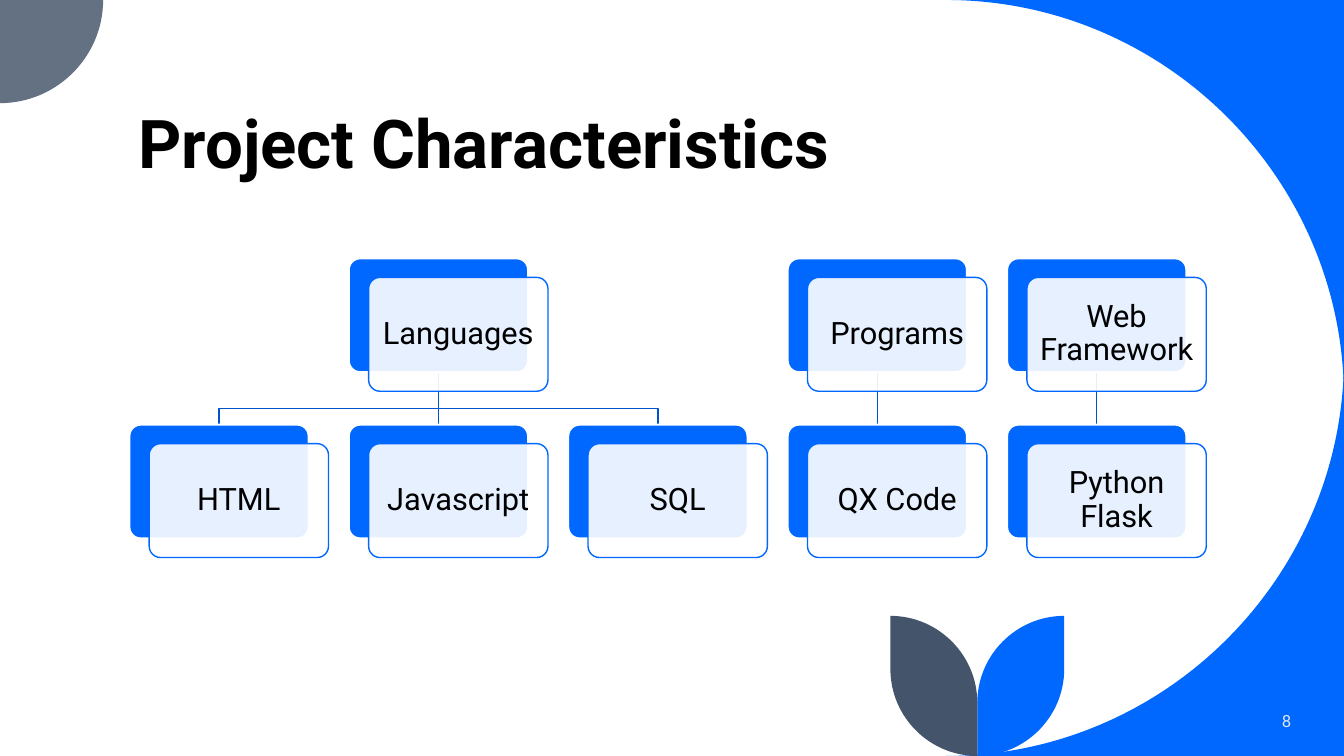
import lxml.etree
import pptx
import pptx.dml.color
import pptx.enum.shapes
import pptx.enum.text
import pptx.oxml.ns
import pptx.util

Cm = pptx.util.Cm
Pt = pptx.util.Pt
qn = pptx.oxml.ns.qn
Shapes = pptx.enum.shapes.MSO_SHAPE
Anchor = pptx.enum.text.MSO_ANCHOR
Align = pptx.enum.text.PP_ALIGN


class Theme:
    font = "Roboto"
    blue, line, white, black = "0068FF", "0053CC", "FFFFFF", "000000"
    grey, slate, pale = "637183", "44546A", "DAE5EF"
    title_size, card_size, number_size = 48, 22, 12


WIDTH, HEIGHT = 33.87, 19.05

# Each branch: parent column, parent label, {child column: child label}
BRANCHES = [
    (1, "Languages", {0: "HTML", 1: "Javascript", 2: "SQL"}),
    (3, "Programs", {3: "QX Code"}),
    (4, "Web Framework", {4: "Python Flask"}),
]


def color(value):
    return pptx.dml.color.RGBColor.from_string(value)


def apply(target, values):
    for name, value in values.items():
        setattr(target, name, value)


def paint(shape, fill, line=None, weight=1.0):
    shape.shadow.inherit = False
    if fill:
        shape.fill.solid()
        shape.fill.fore_color.rgb = color(fill)
    else:
        shape.fill.background()
    if line:
        shape.line.color.rgb = color(line)
        shape.line.width = Pt(weight)
    else:
        shape.line.fill.background()


def write(shape, text, size, ink, bold=False, para_format=None, frame_format=None):
    frame = shape.text_frame
    apply(frame, {"word_wrap": True, **(frame_format or {})})
    para = frame.paragraphs[0]
    apply(para, para_format or {})
    span = para.add_run()
    span.text = text
    apply(span.font, {"name": Theme.font, "size": Pt(size), "bold": bold})
    span.font.color.rgb = color(ink)


def quarter(start, corner, end):
    """Bezier points of the quarter circle that bulges towards the corner."""
    pull = 0.55
    controls = [tuple(a + pull * (b - a) for a, b in zip(point, corner))
                for point in (start, end)]
    return [*controls, end]


def add_freeform(page, points, closed):
    points = [(Cm(x), Cm(y)) for x, y in points]
    builder = page.shapes.build_freeform(*points[0], scale=1.0)
    builder.add_line_segments(points[1:], close=closed)
    return builder.convert_to_shape()


def add_outline(page, start, parts, fill):
    """Closed outline: a part of one point is a line, of three points a curve."""
    shape = add_freeform(page, [start] + [p for part in parts for p in part], True)
    paint(shape, fill)
    lines = iter(list(shape._element.iter(qn("a:lnTo"))))
    for part in parts:
        steps = [next(lines) for _ in part]
        if len(steps) == 3:
            curve = lxml.etree.Element(qn("a:cubicBezTo"))
            steps[0].addprevious(curve)
            for step in steps:
                curve.append(step[0])
                step.getparent().remove(step)


def add_corners(page, width, height):
    # Blue corners on the right, grey quarter disc at the top left
    radius = 10.03
    left = width - radius
    for edge, inner in ((0, radius), (height, height - radius)):
        corner = (width, edge)
        add_outline(page, (left, edge),
                    [quarter((left, edge), corner, (width, inner)), [corner]],
                    Theme.blue)
    disc = 2.6
    add_outline(page, (0, 0),
                [[(disc, 0)], quarter((disc, 0), (disc, disc), (0, disc))], Theme.grey)


def add_leaves(page, stem_x, top, width, height):
    # Two mirrored leaves that meet at the stem
    bottom = top + height
    for side, fill in ((1, Theme.blue), (-1, Theme.slate)):
        outer = stem_x + side * width
        lower, upper = (outer, bottom - width), (stem_x, top + width)
        add_outline(page, (outer, top), [
            [lower],
            quarter(lower, (outer, bottom), (stem_x, bottom)),
            [upper],
            quarter(upper, (stem_x, top), (outer, top)),
        ], fill)


def add_title(page, left, top, width, height):
    title = page.shapes.title
    apply(title, {"left": Cm(left), "top": Cm(top),
                  "width": Cm(width), "height": Cm(height)})
    write(title, "Project Characteristics", Theme.title_size, Theme.black, True,
          {"alignment": Align.LEFT, "line_spacing": 0.9},
          {"vertical_anchor": Anchor.BOTTOM})


def add_page_number(page, left, top, width, height):
    box = page.shapes.add_textbox(Cm(left), Cm(top), Cm(width), Cm(height))
    write(box, "8", Theme.number_size, Theme.pale,
          para_format={"alignment": Align.RIGHT, "space_after": Pt(6)},
          frame_format={"vertical_anchor": Anchor.MIDDLE})


def add_link(page, parent_x, parent_y, child_x, child_y):
    # Straight down to a child below, otherwise with a bend just above the child
    if parent_x == child_x:
        link = page.shapes.add_connector(
            pptx.enum.shapes.MSO_CONNECTOR.STRAIGHT,
            Cm(parent_x), Cm(parent_y), Cm(child_x), Cm(child_y))
        link.line.color.rgb = color(Theme.line)
        link.line.width = Pt(1)
        lxml.etree.SubElement(link._element.spPr, qn("a:effectLst"))
    else:
        bend = child_y - 0.41
        link = add_freeform(page, [(parent_x, parent_y), (parent_x, bend),
                                   (child_x, bend), (child_x, child_y)], False)
        paint(link, None, Theme.line)


def add_card(page, left, top, width, height, label):
    size = Cm(width), Cm(height)
    back = page.shapes.add_shape(Shapes.ROUNDED_RECTANGLE, Cm(left), Cm(top), *size)
    paint(back, Theme.blue, Theme.white, 1.5)
    front = page.shapes.add_shape(Shapes.ROUNDED_RECTANGLE,
                                  Cm(left + 0.5), Cm(top + 0.48), *size)
    paint(front, Theme.white, Theme.blue)
    for card in (back, front):
        card.adjustments[0] = 0.1
    # The front card lets a tenth of the back card show through
    tint = front._element.spPr.find(qn("a:solidFill"))[0]
    lxml.etree.SubElement(tint, qn("a:alpha"), val="90000")
    margins = {f"margin_{side}": Cm(0.15) for side in ("left", "right", "top", "bottom")}
    write(front, label, Theme.card_size, Theme.black,
          para_format={"alignment": Align.CENTER, "line_spacing": 0.9},
          frame_format={"vertical_anchor": Anchor.MIDDLE, **margins})


def add_hierarchy(page, left, top, width, height):
    card_width, card_height = 4.52, 2.87
    pitch = (width - card_width) / 4
    child_top = top + height - card_height

    def middle(column):
        return left + column * pitch + card_width / 2

    # Links go first, behind the cards
    for column, _, children in BRANCHES:
        for child in children:
            add_link(page, middle(column), top + card_height, middle(child), child_top)

    for column, label, children in BRANCHES:
        add_card(page, left + column * pitch, top, card_width, card_height, label)
        for child, child_label in children.items():
            add_card(page, left + child * pitch, child_top,
                     card_width, card_height, child_label)


def main():
    deck = pptx.Presentation()
    apply(deck, {"slide_width": Cm(WIDTH), "slide_height": Cm(HEIGHT)})
    page = deck.slides.add_slide(deck.slide_layouts.get_by_name("Title Only"))
    add_corners(page, WIDTH, HEIGHT)
    add_leaves(page, 24.63, 15.52, 2.19, 3.53)
    add_title(page, 3.24, 1.07, 27.15, 3.68)
    add_page_number(page, 28.19, 17.65, 4.6, 1.02)
    add_hierarchy(page, 3.26, 6.51, 26.64, 7.06)
    deck.save("out.pptx")


if __name__ == "__main__":
    main()
